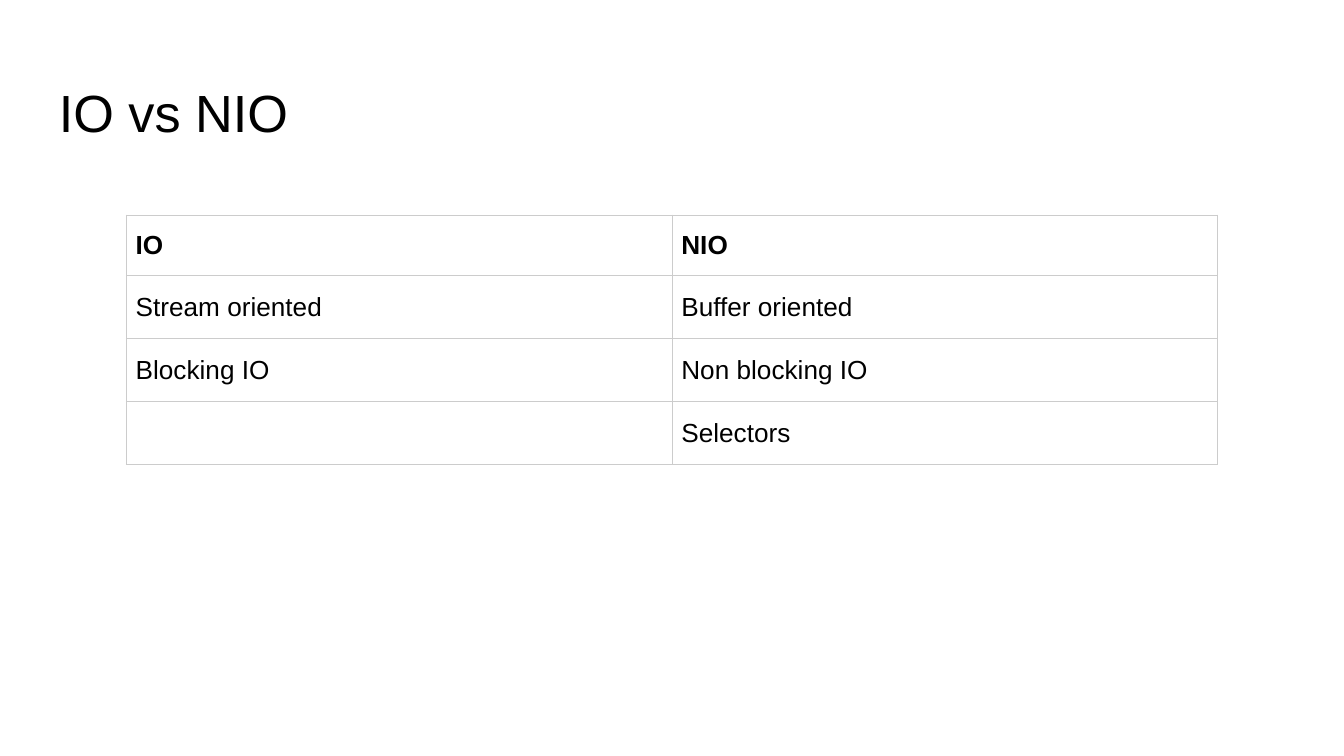
from lxml import etree
from pptx import Presentation
from pptx.dml.color import RGBColor
from pptx.enum.text import MSO_ANCHOR
from pptx.oxml.ns import qn
from pptx.util import Inches, Pt

MIDDLE = MSO_ANCHOR.MIDDLE
BLACK = RGBColor(0x00, 0x00, 0x00)
WHITE = RGBColor(0xFF, 0xFF, 0xFF)
BORDER_GRAY = RGBColor(0xCC, 0xCC, 0xCC)
FONT_NAME = "Arial"

COMPARISON = [
    ("IO", "NIO"),
    ("Stream oriented", "Buffer oriented"),
    ("Blocking IO", "Non blocking IO"),
    ("", "Selectors"),
]
HEADER_HEIGHT = 0.45
ROW_HEIGHT = 0.47
COLUMN_WIDTH = 4.06


def format_font(font, size, bold=False):
    font.name = FONT_NAME
    font.size = Pt(size)
    font.bold = bold
    font.color.rgb = BLACK


def add_title(slide, text):
    box = slide.shapes.add_textbox(Inches(0.34), Inches(0.49), Inches(9.32), Inches(0.63))
    text_frame = box.text_frame
    text_frame.word_wrap = True
    text_frame.vertical_anchor = MIDDLE
    text_frame.margin_left = text_frame.margin_right = Inches(0.1)
    text_frame.margin_top = text_frame.margin_bottom = Inches(0.1)
    text_frame.text = text
    paragraph = text_frame.paragraphs[0]
    paragraph.line_spacing = 1.1
    format_font(paragraph.runs[0].font, 28)


def set_borders(cell, color, width):
    properties = cell._tc.get_or_add_tcPr()
    for side in ("a:lnL", "a:lnR", "a:lnT", "a:lnB"):
        line = etree.SubElement(properties, qn(side), w=str(Pt(width)))
        fill = etree.SubElement(line, qn("a:solidFill"))
        etree.SubElement(fill, qn("a:srgbClr"), val=str(color))


def fill_cell(cell, text, bold):
    set_borders(cell, BORDER_GRAY, 0.5)
    cell.fill.solid()
    cell.fill.fore_color.rgb = WHITE
    cell.vertical_anchor = MIDDLE
    cell.margin_left = cell.margin_right = Inches(0.07)
    cell.margin_top = cell.margin_bottom = Inches(0.07)
    cell.text = text
    paragraph = cell.text_frame.paragraphs[0]
    for run in paragraph.runs:
        format_font(run.font, 14, bold)


def add_comparison_table(slide, rows):
    heights = [HEADER_HEIGHT] + [ROW_HEIGHT] * (len(rows) - 1)
    column_count = len(rows[0])
    table = slide.shapes.add_table(
        len(rows), column_count, Inches(0.94), Inches(1.6),
        Inches(COLUMN_WIDTH * column_count), Inches(sum(heights)),
    ).table
    table.first_row = False
    table.horz_banding = False
    for column in table.columns:
        column.width = Inches(COLUMN_WIDTH)
    for row_index, (texts, height) in enumerate(zip(rows, heights)):
        table.rows[row_index].height = Inches(height)
        for column_index, text in enumerate(texts):
            fill_cell(table.cell(row_index, column_index), text, row_index == 0)


def main():
    presentation = Presentation()
    presentation.slide_width = Inches(10)
    presentation.slide_height = Inches(10) * 9 // 16
    slide = presentation.slides.add_slide(presentation.slide_layouts[6])
    add_title(slide, "IO vs NIO")
    add_comparison_table(slide, COMPARISON)
    presentation.save("out.pptx")


if __name__ == "__main__":
    main()
